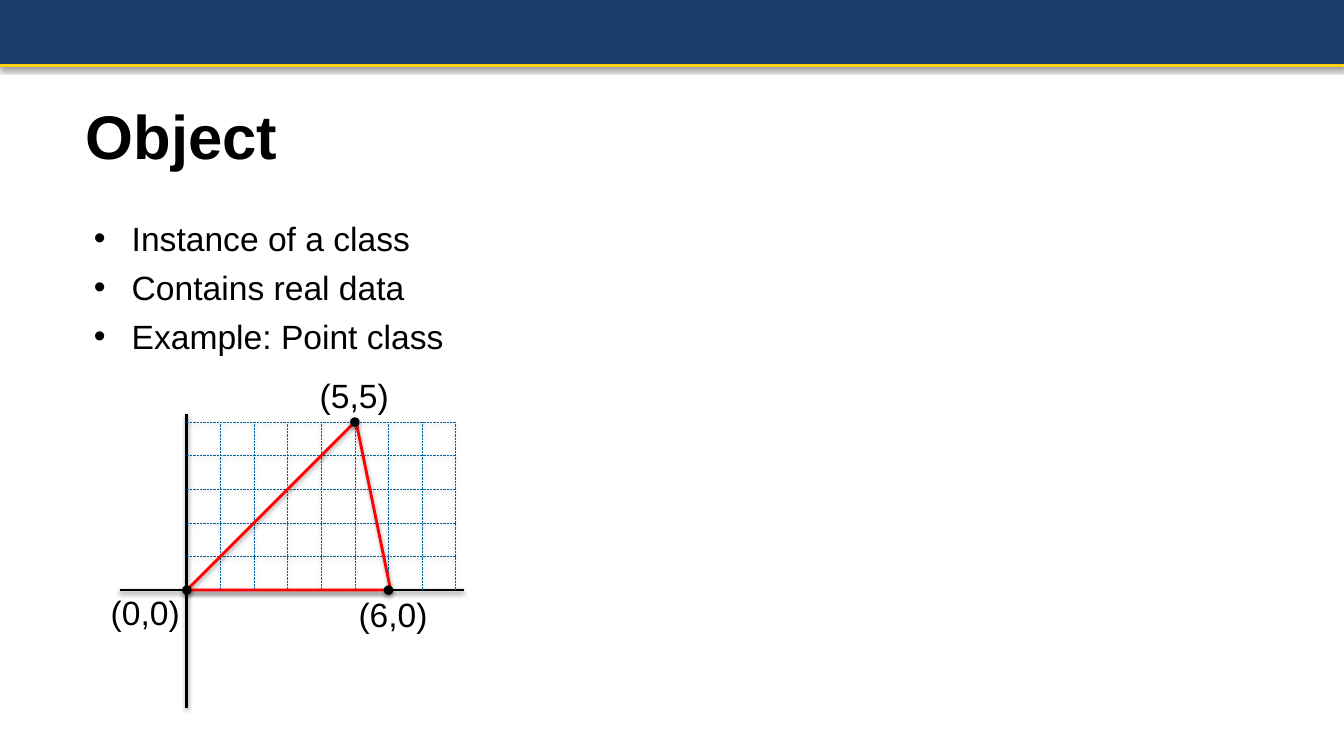
import pptx
import pptx.util
import pptx.dml.color
import pptx.enum.dml
import pptx.enum.shapes
import pptx.enum.text
import pptx.oxml.ns
import lxml.etree

PX = 9525  # EMU per px, 96 px to the inch
NAVY = pptx.dml.color.RGBColor(0x1B, 0x3D, 0x6D)
GOLD = pptx.dml.color.RGBColor(0xFF, 0xD2, 0x00)
BLUE = pptx.dml.color.RGBColor(0x00, 0x64, 0xA4)
RED = pptx.dml.color.RGBColor(0xFF, 0x00, 0x00)
BLACK = pptx.dml.color.RGBColor(0x00, 0x00, 0x00)
SHAPES = pptx.enum.shapes.MSO_SHAPE
qn = pptx.oxml.ns.qn


def write(tf, text, size=24, bold=False, bullet=False, wrap=False):
    """Fill a text frame, one paragraph per line of text."""
    tf.word_wrap = wrap
    for i, line in enumerate(text.split("\n")):
        p = tf.paragraphs[0] if i == 0 else tf.add_paragraph()
        p.alignment = pptx.enum.text.PP_ALIGN.LEFT
        if i > 0:
            p.space_before = pptx.util.Pt(6)
        if bullet:
            pPr = p._p.get_or_add_pPr()
            pPr.set("marL", str(36 * PX))
            pPr.set("indent", str(-36 * PX))
            lxml.etree.SubElement(pPr, qn("a:buFont"), typeface="Arial")
            lxml.etree.SubElement(pPr, qn("a:buChar"), char="•")
        r = p.add_run()
        r.text = line
        r.font.name = "Arial"
        r.font.size = pptx.util.Pt(size)
        r.font.bold = bold
        r.font.color.rgb = BLACK


def set_shadow(sp, alpha, dist):
    """Give a shape a soft shadow below it, or none where alpha is 0."""
    effects = lxml.etree.SubElement(sp._element.spPr, qn("a:effectLst"))
    if alpha:
        shadow = lxml.etree.SubElement(effects, qn("a:outerShdw"), blurRad="40000",
                                       dist=str(dist), dir="5400000", rotWithShape="0")
        color = lxml.etree.SubElement(shadow, qn("a:srgbClr"), val="000000")
        lxml.etree.SubElement(color, qn("a:alpha"), val=str(alpha * 1000))


prs = pptx.Presentation()
prs.slide_width, prs.slide_height = 1280 * PX, 720 * PX
s = prs.slides.add_slide(prs.slide_layouts[5])

# Header band
band = s.shapes.add_shape(SHAPES.RECTANGLE, 0, 0, 1280 * PX, 64 * PX)
band.fill.solid()
band.fill.fore_color.rgb = NAVY
band.line.fill.background()
set_shadow(band, 35, 23000)

# Title
title = s.shapes.title
title.left, title.top, title.width, title.height = 72 * PX, 88 * PX, 204 * PX, 81 * PX
title.text_frame.vertical_anchor = pptx.enum.text.MSO_ANCHOR.MIDDLE
write(title.text_frame, "Object", size=44, bold=True)

# Bullets
bullets = s.shapes.add_textbox(80 * PX, 203 * PX, 607 * PX, 136 * PX)
write(bullets.text_frame, "Instance of a class\nContains real data\nExample: Point class",
      bullet=True, wrap=True)

# Header rule, axes and grid: ends, colour, width, dash, shadow alpha
OX, OY, CELL, COLS, ROWS = 178, 562, 32, 8, 5
DOTTED = pptx.enum.dml.MSO_LINE.ROUND_DOT
lines = [(0, 62, 1280, 62, GOLD, 2.25, None, 0),
         (OX, 394, OX, 674, BLACK, 2, None, 38),
         (114, OY, 442, OY, BLACK, 2, None, 38)]
for row in range(1, ROWS + 1):
    y = OY - row * CELL
    lines.append((OX, y, OX + COLS * CELL, y, BLUE, 0.5, DOTTED, 38))
for col in range(1, COLS + 1):
    x = OX + col * CELL
    lines.append((x, OY, x, OY - ROWS * CELL, BLUE, 0.5, DOTTED, 38))
for x1, y1, x2, y2, color, width, dash, alpha in lines:
    line = s.shapes.add_connector(pptx.enum.shapes.MSO_CONNECTOR.STRAIGHT,
                                  x1 * PX, y1 * PX, x2 * PX, y2 * PX)
    line.line.color.rgb = color
    line.line.width = pptx.util.Pt(width)
    if dash:
        line.line.dash_style = dash
    set_shadow(line, alpha, 20000)

# Triangle
builder = s.shapes.build_freeform(OX, 562, scale=PX)
builder.add_line_segments([(339, 401), (372, 562)], close=True)
triangle = builder.convert_to_shape()
triangle.fill.background()
triangle.line.color.rgb = RED
triangle.line.width = pptx.util.Pt(2)
set_shadow(triangle, 35, 23000)

# Corner points with labels: grid position, label corner
DOT = 8
for col, row, left, top in [(0, 0, 96, 559), (6, 0, 332, 561), (5, 5, 295, 352)]:
    label = s.shapes.add_textbox(left * PX, top * PX, 85 * PX, 48 * PX)
    write(label.text_frame, f"({col},{row})")
    x, y = OX + col * CELL - DOT // 2, OY - row * CELL - DOT // 2
    dot = s.shapes.add_shape(SHAPES.OVAL, x * PX, y * PX, DOT * PX, DOT * PX)
    dot.fill.solid()
    dot.fill.fore_color.rgb = BLACK
    dot.line.color.rgb = BLACK
    dot.line.width = pptx.util.Pt(0.75)
    set_shadow(dot, 35, 23000)

prs.save("out.pptx")
